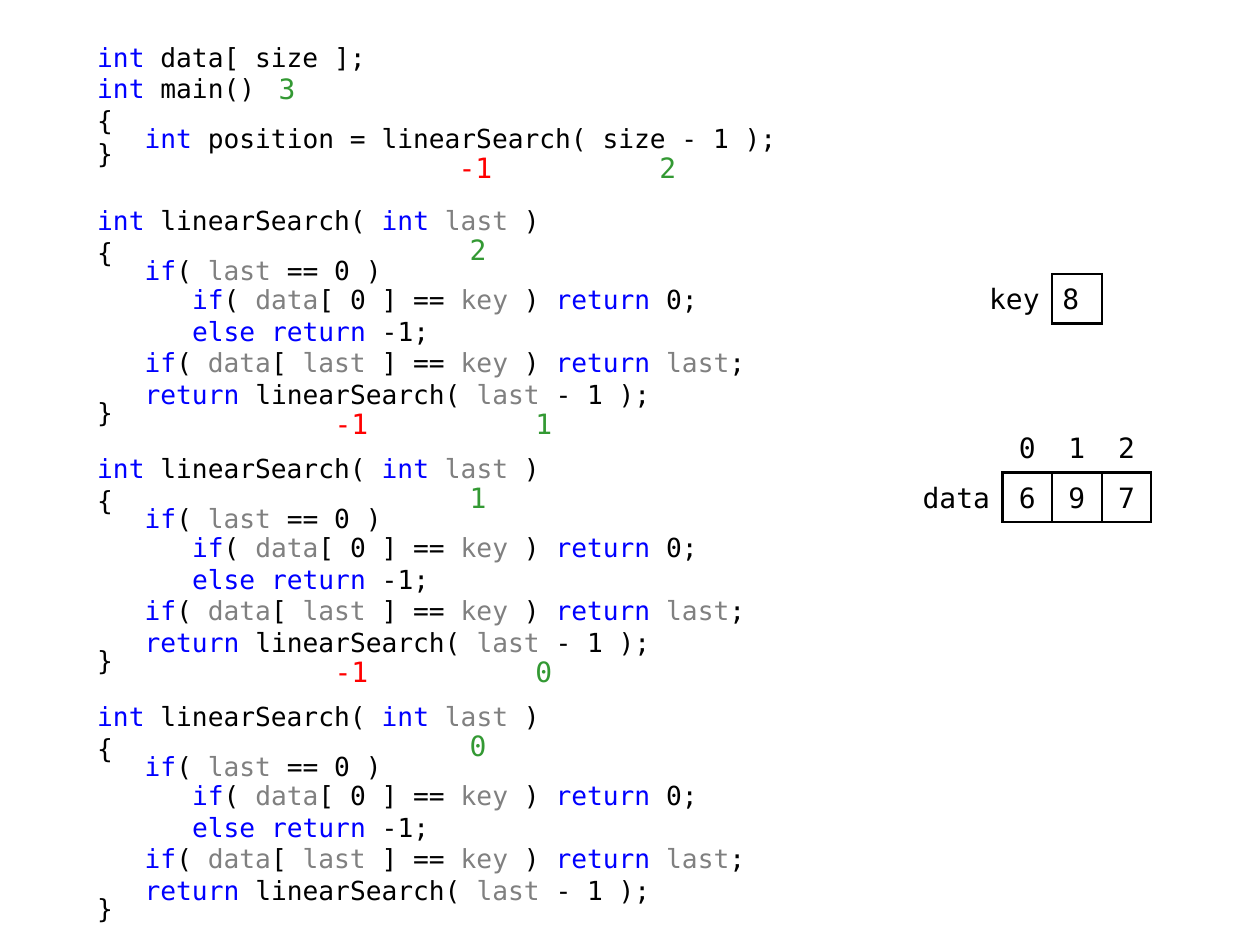
from dataclasses import dataclass
from itertools import groupby

from lxml.etree import SubElement
from pptx import Presentation
from pptx.dml.color import RGBColor
from pptx.enum.text import MSO_ANCHOR, PP_ALIGN
from pptx.oxml.ns import qn
from pptx.util import Inches, Length, Pt

BLACK = RGBColor(0x00, 0x00, 0x00)
BLUE = RGBColor(0x00, 0x00, 0xFF)
GRAY = RGBColor(0x80, 0x80, 0x80)
RED = RGBColor(0xFF, 0x00, 0x00)
GREEN = RGBColor(0x33, 0x99, 0x33)

FONT = "DejaVu Sans Mono"
CODE_SIZE, VALUE_SIZE = 15, 16
CELL = 1 / 2.54  # one grid column or row, in inches
GRID_LEFT, GRID_TOP = 0.28, 0.01
INDENT = Pt(27.1)  # three monospaced characters at the code size
KEYWORDS = {"int", "if", "else", "return"}
VARIABLES = {"last", "data", "key"}
SIDES = "LRTB"
Margins = tuple[float, float, float, float]


@dataclass
class CodeLine:
    text: str
    level: int = 0
    spacing: float = 1.0


@dataclass
class Value:
    text: str
    column: float
    row: float
    color: RGBColor
    margins: Margins
    width: float = 1


@dataclass
class Cell:
    text: str
    borders: str = ""
    align: PP_ALIGN = PP_ALIGN.CENTER


MAIN = [
    CodeLine("int data[ size ];"),
    CodeLine("int main()"),
    CodeLine("{"),
    CodeLine("int position = linearSearch( size - 1 );", 1, 0.5),
    CodeLine("}", spacing=0.5),
]
LINEAR_SEARCH = [
    CodeLine("int linearSearch( int last )"),
    CodeLine("{"),
    CodeLine("if( last == 0 )", 1, 0.5),
    CodeLine("if( data[ 0 ] == key ) return 0;", 2),
    CodeLine("else return -1;", 2),
    CodeLine("if( data[ last ] == key ) return last;", 1),
    CodeLine("return linearSearch( last - 1 );", 1),
    CodeLine("}", spacing=0.5),
]
FIRST_CALL_ROW, CALL_ROWS = 4, 5
CALL_ARGUMENTS = (2, 1, 0)

MAIN_VALUES = [
    Value("-1", 8, 3, RED, (0.1, 0, 0, 0.12), 1.5),
    Value("3", 4.5, 1, GREEN, (0.1, 0.2, 0.04, 0)),
    Value("2", 12, 3, GREEN, (0.1, 0, 0.1, 0.12), 1.5),
]
DATA_TABLE = [
    [Cell("")] + [Cell(index, "B") for index in "012"],
    [Cell("data", "R", PP_ALIGN.RIGHT)] + [Cell(item, SIDES) for item in "697"],
]
KEY_TABLE = [[Cell("key", "R", PP_ALIGN.RIGHT), Cell("8", SIDES)]]


def grid(cells: float) -> Length:
    return Inches(cells * CELL)


def grid_position(column: float, row: float) -> tuple[Length, Length]:
    return Inches(GRID_LEFT + column * CELL), Inches(GRID_TOP + row * CELL)


def set_values(target, values: dict) -> None:
    for name, value in values.items():
        setattr(target, name, value)


def margin_values(margins: Margins) -> dict:
    sides = ("left", "top", "right", "bottom")
    return {f"margin_{side}": Inches(margin) for side, margin in zip(sides, margins)}


def add_run(paragraph, text: str, size: float, color: RGBColor) -> None:
    run = paragraph.add_run()
    run.text = text
    set_values(run.font, {"name": FONT, "size": Pt(size)})
    run.font.color.rgb = color


def add_text_frame(slide, column: float, row: float, width: float, height: float,
                   values: dict):
    box = slide.shapes.add_textbox(*grid_position(column, row), grid(width), grid(height))
    set_values(box.text_frame, values)
    return box.text_frame


def colored_parts(text: str, variables: set[str]) -> list[tuple[RGBColor, str]]:
    """Split a line of code into the longest parts that share a colour."""
    words = ["".join(letters) for _, letters in groupby(text, str.isalpha)]

    def color_of(word: str) -> RGBColor:
        return BLUE if word in KEYWORDS else GRAY if word in variables else BLACK

    return [(color, "".join(part)) for color, part in groupby(words, color_of)]


def add_code(slide, lines: list[CodeLine], row: float, width: float, height: float,
             margins: Margins, variables: set[str]) -> None:
    frame = add_text_frame(slide, 1, row, width, height,
                           {"word_wrap": True, **margin_values(margins)})
    for number, line in enumerate(lines):
        paragraph = frame.add_paragraph() if number else frame.paragraphs[0]
        paragraph.line_spacing = line.spacing
        paragraph._p.get_or_add_pPr().set("marL", str(line.level * INDENT))
        for color, part in colored_parts(line.text, variables):
            add_run(paragraph, part, CODE_SIZE, color)


def add_value(slide, value: Value) -> None:
    frame = add_text_frame(slide, value.column, value.row, value.width, 1, {
        "word_wrap": False, "vertical_anchor": MSO_ANCHOR.MIDDLE,
        **margin_values(value.margins)})
    paragraph = frame.paragraphs[0]
    paragraph.alignment = PP_ALIGN.CENTER
    add_run(paragraph, value.text, VALUE_SIZE, value.color)


def set_borders(cell, visible: str) -> None:
    properties = cell._tc.get_or_add_tcPr()
    for side in SIDES:
        line = SubElement(properties, qn(f"a:ln{side}"), w=str(Pt(1.5)))
        if side in visible:
            fill = SubElement(line, qn("a:solidFill"))
            SubElement(fill, qn("a:srgbClr"), val=str(BLACK))
        else:
            SubElement(line, qn("a:noFill"))


def add_grid_table(slide, rows: list[list[Cell]], column: float, row: float,
                   label_width: float, margins: Margins) -> None:
    """Draw a table with a label column followed by square cells."""
    widths = [label_width] + [1] * (len(rows[0]) - 1)
    table = slide.shapes.add_table(len(rows), len(widths), *grid_position(column, row),
                                   grid(sum(widths)), grid(len(rows))).table
    set_values(table, {"first_row": False, "horz_banding": False})
    for table_column, width in zip(table.columns, widths):
        table_column.width = grid(width)
    for row_index, cells in enumerate(rows):
        for column_index, content in enumerate(cells):
            cell = table.cell(row_index, column_index)
            set_values(cell, {"vertical_anchor": MSO_ANCHOR.MIDDLE,
                              **margin_values(margins)})
            set_borders(cell, content.borders)
            cell.fill.background()
            paragraph = cell.text_frame.paragraphs[0]
            paragraph.alignment = content.align
            if content.text:
                add_run(paragraph, content.text, VALUE_SIZE, BLACK)


def add_call(slide, row: float, argument: int) -> None:
    add_code(slide, LINEAR_SEARCH, row, 15, 4.5, (0.1, 0.04, 0.1, 0.04), VARIABLES)
    add_value(slide, Value(str(argument), 8.5, row + 0.5, GREEN, (0.04, 0, 0.1, 0)))
    if argument:
        add_value(slide, Value("-1", 6, row + 4, RED, (0, 0, 0.1, 0)))
        add_value(slide, Value(str(argument - 1), 9.5, row + 4, GREEN,
                               (0.1, 0, 0.1, 0), 1.5))


def main() -> None:
    presentation = Presentation()
    set_values(presentation, {"slide_width": Inches(10), "slide_height": Inches(7.5)})
    slide = presentation.slides.add_slide(presentation.slide_layouts[6])
    add_code(slide, MAIN, 0.5, 16, 3, (0.1, 0.12, 0.1, 0.05), set())
    for value in MAIN_VALUES:
        add_value(slide, value)
    for number, argument in enumerate(CALL_ARGUMENTS):
        add_call(slide, FIRST_CALL_ROW + number * CALL_ROWS, argument)
    add_grid_table(slide, DATA_TABLE, 17.5, 8.5, 2, (0.1, 0.02, 0.1, 0))
    add_grid_table(slide, KEY_TABLE, 19, 5.5, 1.5, (0, 0.04, 0.1, 0.02))
    presentation.save("out.pptx")


if __name__ == "__main__":
    main()
